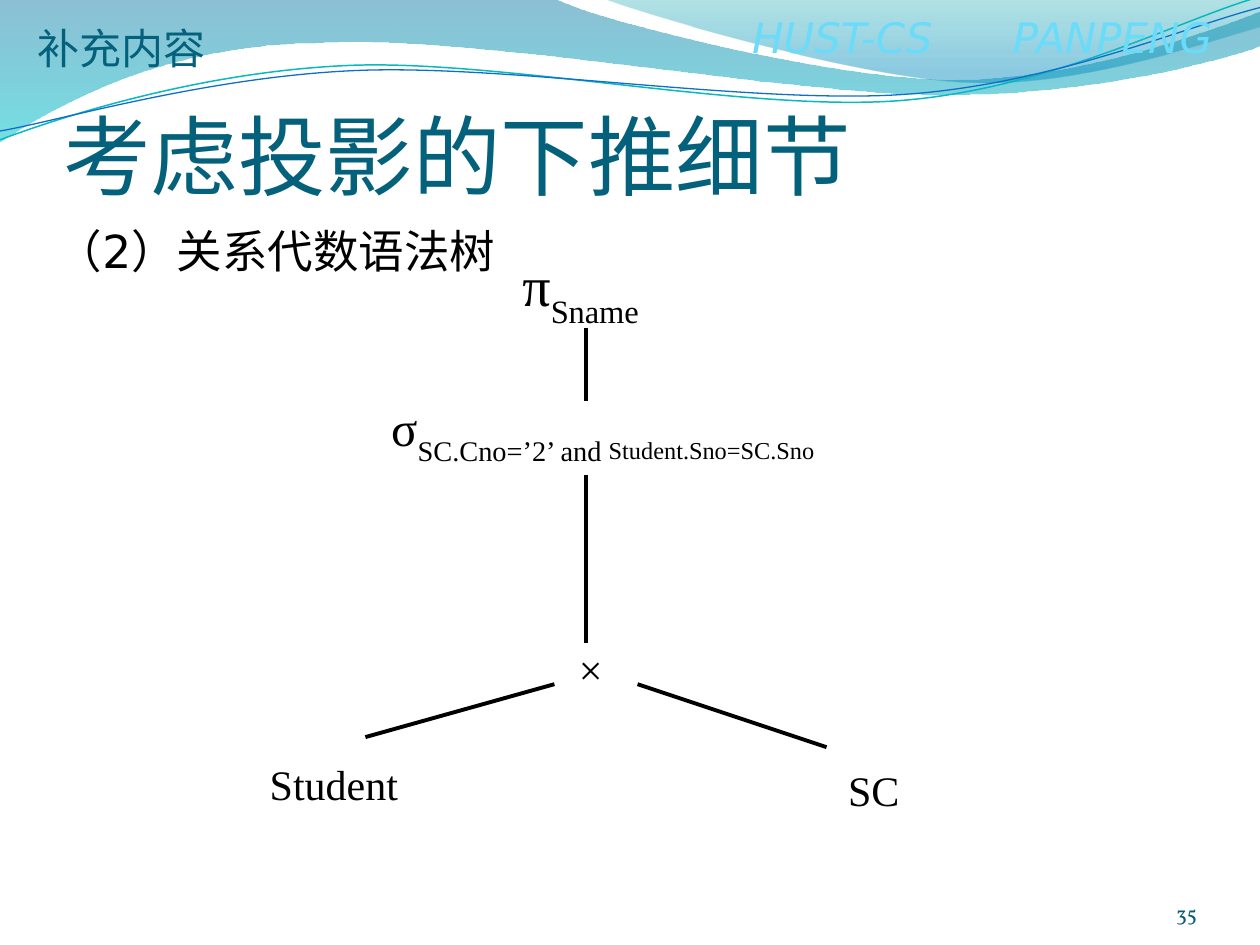
from lxml.etree import SubElement
from pptx import Presentation
from pptx.dml.color import RGBColor
from pptx.enum.shapes import MSO_CONNECTOR
from pptx.enum.text import MSO_ANCHOR, MSO_AUTO_SIZE, PP_ALIGN
from pptx.oxml.ns import qn
from pptx.util import Inches, Pt

COLORS = {
    "title": "04617B", "page": "045D75", "ink": "000000", "head": "6BDBFA",
    "blue": "0074A1", "cyan": "00C6CF", "teal": "00A1A9", "sky": "008BBF",
    "aqua": "0AB8BF", "navy": "0F6FC6",
}
SERIF = "Times New Roman"
HAN = "Noto Sans CJK SC"

# Each curve is a start point and cubic segments (two controls, one end).
WAVE_TOP = [(4.4, -0.01), (4.76, 0.17), (6.64, 0.63), (7.58, 0.63),
            (8.53, 0.63), (9.58, 0.26), (10, 0.09)]
WAVE_LOW = [(10.01, 0.36), (9.83, 0.44), (8.7, 0.76), (7.46, 0.75),
            (6.22, 0.75), (3.82, 0.28), (2.57, 0.34),
            (1.29, 0.35), (0.46, 0.83), (-0.01, 1.13)]
CREST = [(4.79, -0.01), (5.09, 0.11), (6.82, 0.62), (7.69, 0.65),
         (8.56, 0.69), (9.61, 0.32), (10, 0.21)]
AQUA_LINE = [(0, 1.11), (0.48, 0.93), (1.58, 0.57), (2.77, 0.52),
             (3.95, 0.47), (5.93, 0.89), (7.13, 0.8),
             (8.33, 0.71), (9.38, 0.15), (9.98, -0.02)]
NAVY_LINE = [(0, 1.04), (0.47, 0.96), (1.64, 0.61), (2.83, 0.56),
             (4.03, 0.51), (5.97, 0.83), (7.17, 0.75),
             (8.36, 0.67), (9.41, 0.21), (10, 0.06)]

# Tree nodes: box, then runs of (text, size, is subscript).
NODES = [
    ((3.9, 1.93, 1.5, 0.75),
     [("π", 32, False), ("Sname", 32, True), (" ", 24, False)]),
    ((2.81, 3.18, 4, 0.5),
     [("σ", 28, False), ("SC.Cno=’2’ and ", 28, True),
      ("Student.Sno=SC.Sno ", 24, True)]),
    ((4.23, 5.02, 1, 0.58), [("× ", 24, False)]),
    ((1.9, 5.93, 1.5, 0.58), [("Student", 24, False)]),
    ((6.31, 5.93, 1.25, 0.67), [("SC", 24, False)]),
]
EDGES = [
    (4.65, 2.6, 4.65, 3.18), (4.65, 3.77, 4.65, 5.1),
    (4.65, 4.77, 4.65, 5.1), (4.4, 5.43, 2.9, 5.85),
    (5.06, 5.43, 6.56, 5.93),
]


def rgb(name):
    return RGBColor.from_string(COLORS[name])


def add_path(slide, curves, close):
    """Join curves by straight lines into one cubic outline."""
    spots = [(Inches(x), Inches(y)) for curve in curves for x, y in curve]
    pen = slide.shapes.build_freeform(*spots[0], scale=1.0)
    pen.add_line_segments(spots[1:], close=close)
    shape = pen.convert_to_shape()
    shape.shadow.inherit = False
    path = next(shape._element.iter(qn("a:path")))
    nodes = list(path)
    first = 0
    for curve in curves:
        for i in range(first + 1, first + len(curve), 3):
            cubic = path.makeelement(qn("a:cubicBezTo"))
            nodes[i].addprevious(cubic)
            for node in nodes[i:i + 3]:
                cubic.append(node[0])
                path.remove(node)
        first += len(curve)
    return shape


def add_wave(slide, curves, stops):
    """Draw a filled wave; stops are (position, color, percent opaque)."""
    shape = add_path(slide, curves, True)
    shape.line.fill.background()
    shape.fill.gradient()
    shape.fill.gradient_angle = 270
    for stop, (pos, name, _) in zip(shape.fill.gradient_stops, stops):
        stop.position = pos
        stop.color.rgb = rgb(name)
    marks = list(shape._element.spPr.iter(qn("a:srgbClr")))
    for mark, (_, _, alpha) in zip(marks, stops):
        SubElement(mark, qn("a:alpha"), val=str(alpha * 1000))


def add_curve(slide, curve, name, width):
    shape = add_path(slide, [curve], False)
    shape.fill.background()
    shape.line.color.rgb = rgb(name)
    shape.line.width = Pt(width)


def set_font(para, font, size, color):
    para.font.name = font
    para.font.size = Pt(size)
    para.font.color.rgb = rgb(color)
    SubElement(para._p.pPr.find(qn("a:defRPr")), qn("a:ea"), typeface=HAN)


def add_text(slide, box, text, font, size, color):
    frame = slide.shapes.add_textbox(*map(Inches, box)).text_frame
    frame.word_wrap = True
    para = frame.paragraphs[0]
    para.text = text
    set_font(para, font, size, color)
    return frame


def fill_holder(slide, holder, box, text, font, size, color):
    """Move a placeholder to the front and give it one plain line."""
    slide.shapes._spTree.append(holder._element)
    holder.left, holder.top, holder.width, holder.height = map(Inches, box)
    frame = holder.text_frame
    frame.auto_size = MSO_AUTO_SIZE.NONE
    para = frame.paragraphs[0]
    para.text = text
    props = para._p.get_or_add_pPr()
    props.set("marL", "0")
    props.set("indent", "0")
    SubElement(props, qn("a:buNone"))
    para.alignment = PP_ALIGN.LEFT
    para.space_before = Pt(0)
    set_font(para, font, size, color)
    return frame


def add_node(slide, box, runs):
    frame = add_text(slide, box, "", SERIF, runs[0][1], "ink")
    frame.vertical_anchor = MSO_ANCHOR.MIDDLE
    para = frame.paragraphs[0]
    para.alignment = PP_ALIGN.CENTER
    for text, size, sub in runs:
        run = para.add_run()
        run.text = text
        run.font.size = Pt(size)
        if sub:
            run._r.get_or_add_rPr().set("baseline", "-30000")


def add_edge(slide, ends):
    line = slide.shapes.add_connector(
        MSO_CONNECTOR.STRAIGHT, *map(Inches, ends))
    line.line.color.rgb = rgb("ink")
    line.line.width = Pt(2.25)
    SubElement(line._element.spPr, qn("a:effectLst"))


def add_head(slide):
    frame = add_text(slide, (5.87, 0.04, 4.05, 0.5), "HUST-CS\tPANPENG",
                     "DejaVu Sans", 24, "head")
    para = frame.paragraphs[0]
    para.font.italic = True
    tabs = para._p.pPr.makeelement(qn("a:tabLst"))
    SubElement(tabs, qn("a:tab"), pos=str(Inches(2.07)), algn="l")
    para._p.pPr.insert(0, tabs)


def add_page(slide):
    frame = add_text(slide, (8.67, 6.95, 0.83, 0.4), "35",
                     "Vollkorn", 12, "page")
    frame.vertical_anchor = MSO_ANCHOR.BOTTOM
    frame.margin_left = frame.margin_right = 0
    frame.margin_top = frame.margin_bottom = 0
    frame.paragraphs[0].alignment = PP_ALIGN.RIGHT


def main():
    prs = Presentation()
    prs.slide_width, prs.slide_height = Inches(10), Inches(7.5)
    slide = prs.slides.add_slide(prs.slide_layouts[1])
    title, body = slide.placeholders

    add_wave(slide, [[(0, -0.01)], WAVE_TOP, WAVE_LOW],
             [(0, "blue", 45), (1, "cyan", 55)])
    add_wave(slide, [CREST, [(10, 0)]],
             [(0, "teal", 30), (0.8, "sky", 45)])
    add_curve(slide, AQUA_LINE, "aqua", 0.85)
    add_curve(slide, NAVY_LINE, "navy", 0.75)
    add_head(slide)

    frame = fill_holder(slide, title, (0.5, 0.77, 9, 0.87),
                        "考虑投影的下推细节", "Calibri", 50, "title")
    frame.vertical_anchor = MSO_ANCHOR.BOTTOM
    frame.margin_left = frame.margin_right = frame.margin_bottom = 0
    add_page(slide)
    fill_holder(slide, body, (0.35, 1.72, 9, 0.53),
                "（2）关系代数语法树", "DejaVu Sans", 26, "ink")

    for box, runs in NODES:
        add_node(slide, box, runs)
    for ends in EDGES:
        add_edge(slide, ends)
    add_text(slide, (0.2, 0.13, 1.55, 0.5), "补充内容", HAN, 24, "title")
    prs.save("out.pptx")


if __name__ == "__main__":
    main()
